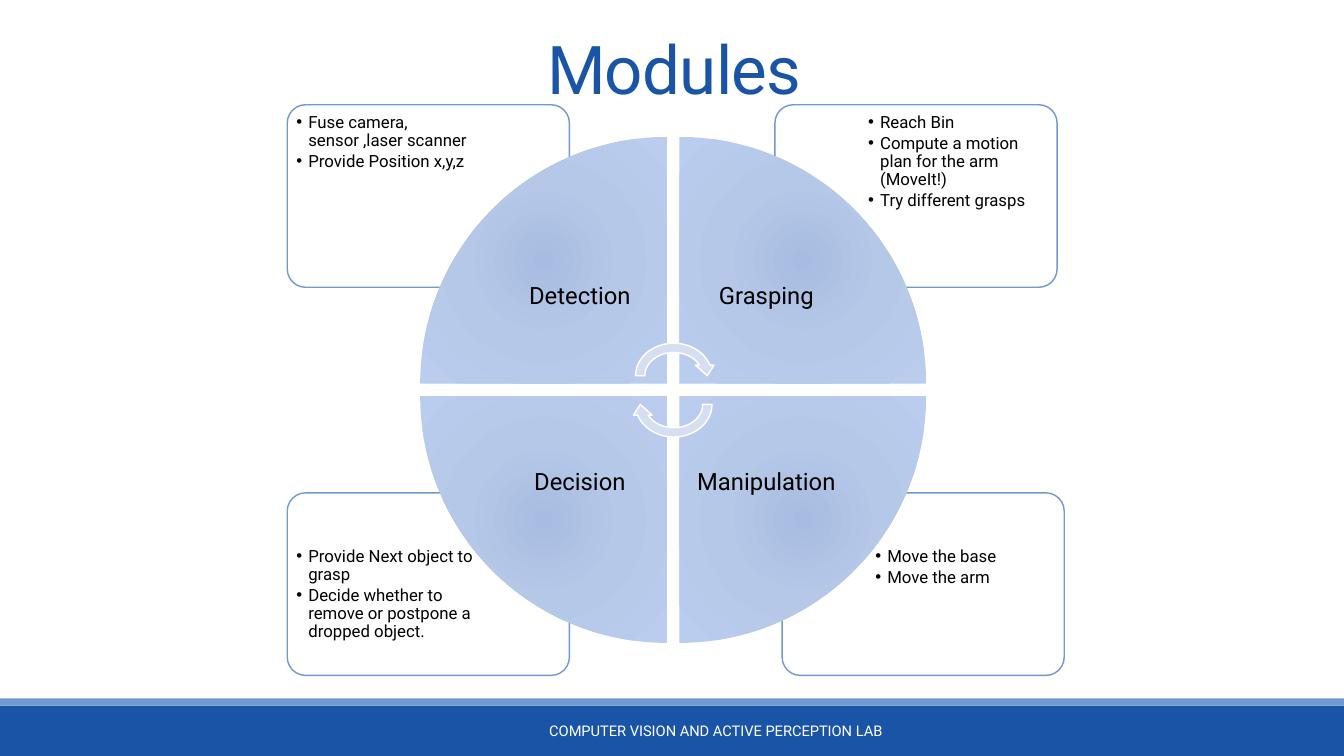
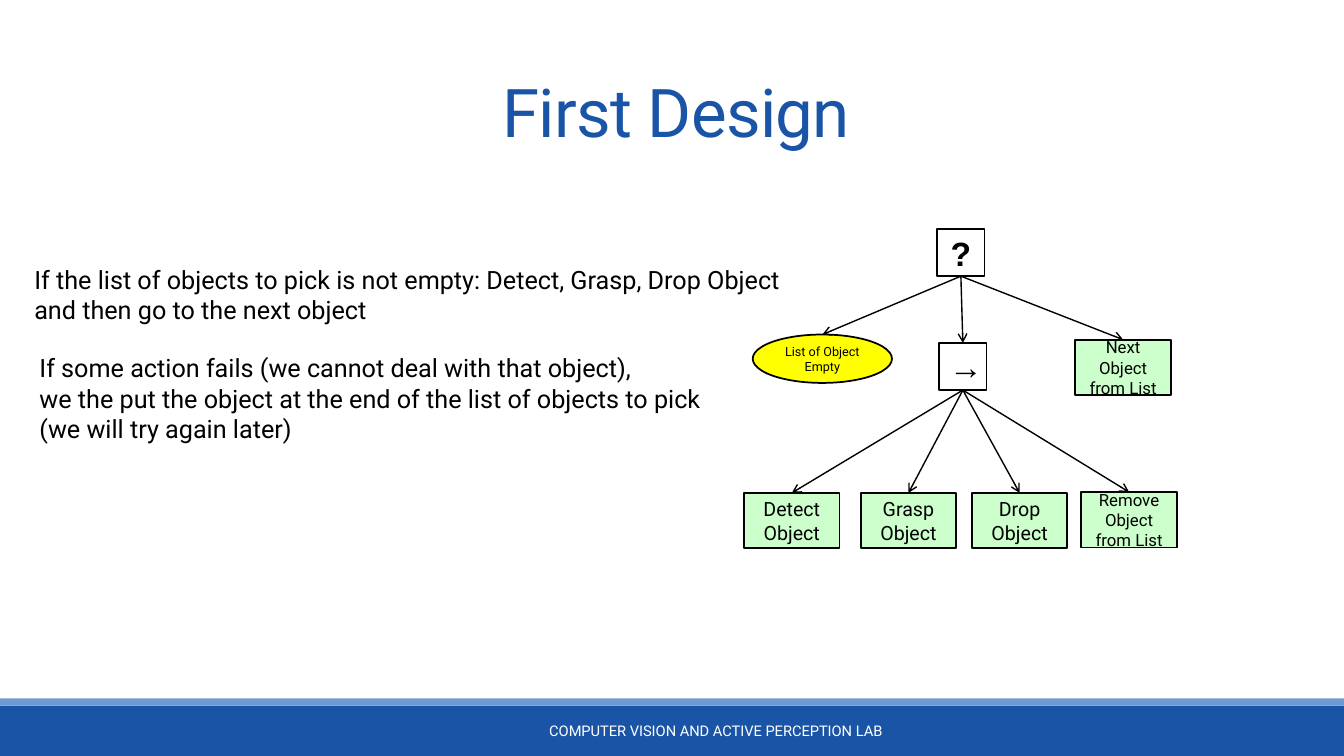
from dataclasses import dataclass

from pptx import Presentation
from pptx.dml.color import RGBColor
from pptx.enum.shapes import MSO_CONNECTOR, MSO_SHAPE
from pptx.enum.text import MSO_ANCHOR, MSO_AUTO_SIZE, PP_ALIGN
from pptx.oxml import parse_xml
from pptx.oxml.ns import nsdecls, qn
from pptx.util import Cm, Pt

NAVY = RGBColor(0x19, 0x54, 0xA6)
SKY = RGBColor(0x70, 0x99, 0xD1)
WHITE = RGBColor(0xFF, 0xFF, 0xFF)
BLACK = RGBColor(0, 0, 0)
YELLOW = RGBColor(0xFF, 0xFF, 0)
MINT = RGBColor(0xCC, 0xFF, 0xCC)
PIE_HUES = [RGBColor(0xA7, 0xBC, 0xE1), RGBColor(0xB6, 0xC8, 0xE8), RGBColor(0xBB, 0xCD, 0xEF)]
ARROW_HUES = [RGBColor(0xCB, 0xD5, 0xE9), RGBColor(0xD6, 0xDF, 0xF1), RGBColor(0xD9, 0xE3, 0xF5)]

FONT = "Roboto"
WIDTH, HEIGHT = 33.87, 19.05
TWO_LISTS, FOUR_LISTS = 3, 4


@dataclass(frozen=True)
class Box:
    left: float
    top: float
    width: float
    height: float

    def cm(self) -> tuple:
        return Cm(self.left), Cm(self.top), Cm(self.width), Cm(self.height)


@dataclass(frozen=True)
class Style:
    size: float
    color: RGBColor = BLACK
    font: str = FONT
    bold: bool = False
    align: PP_ALIGN = PP_ALIGN.CENTER
    lead: float = 1.0
    after: float = 0
    anchor: MSO_ANCHOR = MSO_ANCHOR.MIDDLE
    inset: float | None = None
    bullet: str = ""


@dataclass(frozen=True)
class Module:
    """A quarter of the wheel: col and row are 0 or 1, turn is in degrees."""
    name: str
    col: int
    row: int
    turn: int
    card: float
    idx: int
    items: list


@dataclass(frozen=True)
class Node:
    key: str
    box: Box
    lines: list
    style: Style
    fill: RGBColor = MINT
    form: MSO_SHAPE = MSO_SHAPE.RECTANGLE
    parent: str = ""


TITLE = Style(48, NAVY, lead=0.85, anchor=MSO_ANCHOR.BOTTOM)
FOOT = Style(10.5, WHITE)
LABEL = Style(17, lead=0.9, inset=0.33)
ITEM = Style(12, align=PP_ALIGN.LEFT, lead=0.9, after=2, anchor=MSO_ANCHOR.TOP,
             inset=0.13, bullet="•")
PROSE = Style(18, align=PP_ALIGN.LEFT, anchor=MSO_ANCHOR.TOP)
SIGN = Style(24, font="Arial", bold=True)
TINY, SMALL, LARGE = Style(9), Style(12), Style(14)

MODULES = [
    Module("Detection", 0, 0, 0, 7.24, 1,
           ["Fuse camera,\nsensor ,laser scanner", "Provide Position x,y,z"]),
    Module("Grasping", 1, 0, 90, 19.53, 2,
           ["Reach Bin", "Compute a motion plan for the arm (MoveIt!)", "Try different grasps"]),
    Module("Manipulation", 1, 1, 180, 19.71, 4, ["Move the base", "Move the arm"]),
    Module("Decision", 0, 1, 270, 7.24, 3,
           ["Provide Next object to grasp", "Decide whether to remove or postpone a dropped object."]),
]


def task(left: float, top: float) -> Box:
    return Box(left, top, 2.41, 1.4)


NODES = [
    Node("root", Box(23.62, 5.77, 1.19, 1.19), ["?"], SIGN, WHITE),
    Node("empty", Box(18.97, 8.43, 3.51, 1.22), ["List of Object Empty"], TINY,
         YELLOW, MSO_SHAPE.OVAL, "root"),
    Node("steps", Box(23.67, 8.64, 1.19, 1.19), ["→"], SIGN, WHITE, parent="root"),
    Node("next", task(27.1, 8.56), ["Next", "Object from List"], SMALL, parent="root"),
    Node("detect", task(18.75, 12.42), ["Detect Object"], LARGE, parent="steps"),
    Node("grasp", task(21.69, 12.42), ["Grasp Object"], LARGE, parent="steps"),
    Node("drop", task(24.49, 12.42), ["Drop", "Object"], LARGE, parent="steps"),
    Node("remove", task(27.25, 12.4), ["Remove", "Object from List"], SMALL, parent="steps"),
]

PARTS = [
    (1, Box(0.61, 6.53, 20.19, 1.8),
     ["If the list of objects to pick is not empty: Detect, Grasp, Drop Object",
      "and then go to the next object"]),
    (2, Box(0.74, 8.76, 17.75, 2.57),
     ["If some action fails (we cannot deal with that object),",
      "we the put the object at the end of the list of objects to pick",
      "(we will try again later)"]),
]


def set_bullet(para, mark: str) -> None:
    props = para._p.get_or_add_pPr()
    indent = Cm(0.3) if mark else 0
    props.set("marL", str(indent))
    props.set("indent", str(-indent))
    tag = f'<a:buChar {nsdecls("a")} char="{mark}"/>' if mark else f'<a:buNone {nsdecls("a")}/>'
    props.append(parse_xml(tag))


def write(shape, lines: list, style: Style) -> None:
    """Fill a shape with one paragraph per line; a newline breaks inside it."""
    frame = shape.text_frame
    frame.word_wrap = True
    frame.auto_size = MSO_AUTO_SIZE.NONE
    frame.vertical_anchor = style.anchor
    if style.inset is not None:
        frame.margin_left = frame.margin_right = Cm(style.inset)
        frame.margin_top = frame.margin_bottom = Cm(style.inset)
    for i, line in enumerate(lines):
        para = frame.add_paragraph() if i else frame.paragraphs[0]
        para.alignment = style.align
        para.line_spacing = style.lead
        para.space_before = Pt(0)
        para.space_after = Pt(style.after)
        set_bullet(para, style.bullet)
        for j, part in enumerate(line.split("\n")):
            if j:
                para.add_line_break()
            run = para.add_run()
            run.text = part
            run.font.name = style.font
            run.font.size = Pt(style.size)
            run.font.bold = style.bold
            run.font.color.rgb = style.color


def place(shape, box: Box) -> None:
    shape.left, shape.top, shape.width, shape.height = box.cm()


def draw(slide, form: MSO_SHAPE, box: Box, fill: RGBColor | None = None,
         line: RGBColor | None = None, weight: float = 1):
    shape = slide.shapes.add_shape(form, *box.cm())
    shape.shadow.inherit = False
    if fill is None:
        shape.fill.background()
    else:
        shape.fill.solid()
        shape.fill.fore_color.rgb = fill
    if line is None:
        shape.line.fill.background()
    else:
        shape.line.color.rgb = line
        shape.line.width = Pt(weight)
    return shape


def glow(shape, hues: list) -> None:
    """Swap the empty fill of a shape for a round gradient."""
    stops = "".join(f'<a:gs pos="{pos}"><a:srgbClr val="{hue}"/></a:gs>'
                    for pos, hue in zip((0, 45000, 100000), hues))
    props = shape._element.spPr
    props.replace(props.find(qn("a:noFill")), parse_xml(
        f'<a:gradFill {nsdecls("a")} rotWithShape="1"><a:gsLst>{stops}</a:gsLst>'
        '<a:path path="circle"><a:fillToRect l="100000" t="100000" r="100000" b="100000"/>'
        '</a:path></a:gradFill>'))


def add_text(slide, box: Box, lines: list, style: Style) -> None:
    write(slide.shapes.add_textbox(*box.cm()), lines, style)


def add_slide(deck, layout: int, title: str, box: Box):
    slide = deck.slides.add_slide(deck.slide_layouts[layout])
    head = slide.shapes.title
    place(head, box)
    write(head, [title], TITLE)
    head.text_frame.paragraphs[0].runs[0]._r.get_or_add_rPr().set("spc", "-50")
    add_text(slide, Box(10.08, 17.91, 15.93, 1.02),
             ["COMPUTER VISION AND ACTIVE PERCEPTION LAB"], FOOT)
    return slide


def add_bands(deck, slide) -> None:
    """Draw the bottom bands and hand them to the master, for all slides."""
    bands = [(Box(0, 17.78, WIDTH, 1.27), NAVY), (Box(0, 17.6, WIDTH, 0.18), SKY)]
    for num, (box, fill) in enumerate(bands, 20):
        band = draw(slide, MSO_SHAPE.RECTANGLE, box, fill)
        band._element.nvSpPr.cNvPr.set("id", str(num))
        deck.slide_master.shapes._spTree.append(band._element)


def add_list(slide, mod: Module) -> None:
    top = 12.42 if mod.row else 2.64
    card = draw(slide, MSO_SHAPE.ROUNDED_RECTANGLE, Box(mod.card, top, 7.11, 4.6), WHITE, SKY)
    card.adjustments[0] = 0.1
    body = slide.placeholders[mod.idx]
    left = mod.card + (2.22 if mod.col else 0.1)
    place(body, Box(left, top + (1.25 if mod.row else 0.1), 4.78, 3.25))
    write(body, mod.items, ITEM)
    slide.shapes._spTree.append(body._element)


def add_wedge(slide, mod: Module) -> None:
    size, step, inner = 6.22, 6.53, 4.39
    left, top = 10.59 + mod.col * step, 3.45 + mod.row * step
    wedge = draw(slide, MSO_SHAPE.PIE_WEDGE, Box(left, top, size, size))
    wedge.rotation = mod.turn
    glow(wedge, PIE_HUES)
    shift = size - inner
    box = Box(left + (1 - mod.col) * shift, top + (1 - mod.row) * shift, inner, inner)
    add_text(slide, box, [mod.name], LABEL)


def add_wheel(slide) -> None:
    for mod in MODULES:
        add_list(slide, mod)
    for mod in MODULES:
        add_wedge(slide, mod)
    for top, turn in ((8.53, 0), (9.25, 180)):
        arrow = draw(slide, MSO_SHAPE.CIRCULAR_ARROW, Box(15.9, top, 2.16, 1.88), line=WHITE)
        arrow.rotation = turn
        glow(arrow, ARROW_HUES)


def link(slide, start, end) -> None:
    """Join the foot of one node to the top of another with an arrow."""
    line = slide.shapes.add_connector(MSO_CONNECTOR.STRAIGHT, 0, 0, 0, 0)
    line.begin_connect(start, 2)
    line.end_connect(end, 0)
    line.line.color.rgb = BLACK
    line.line.width = Pt(1)
    line.line._get_or_add_ln().append(parse_xml(f'<a:tailEnd {nsdecls("a")} type="arrow"/>'))
    line._element.spPr.append(parse_xml(f'<a:effectLst {nsdecls("a")}/>'))


def add_tree(slide) -> None:
    shapes = {}
    for node in NODES:
        shape = draw(slide, node.form, node.box, node.fill, BLACK, 1.25)
        write(shape, node.lines, node.style)
        shapes[node.key] = shape
    for node in NODES:
        if node.parent:
            link(slide, shapes[node.parent], shapes[node.key])


def main() -> None:
    deck = Presentation()
    deck.slide_width, deck.slide_height = Cm(WIDTH), Cm(HEIGHT)

    wheel = add_slide(deck, FOUR_LISTS, "Modules", Box(3.02, 0.23, 27.94, 2.62))
    add_bands(deck, wheel)
    add_wheel(wheel)

    tree = add_slide(deck, TWO_LISTS, "First Design", Box(3.07, 0.79, 27.94, 3.15))
    add_tree(tree)
    for idx, box, lines in PARTS:
        body = tree.placeholders[idx]
        place(body, box)
        write(body, lines, PROSE)

    deck.save("out.pptx")


if __name__ == "__main__":
    main()
